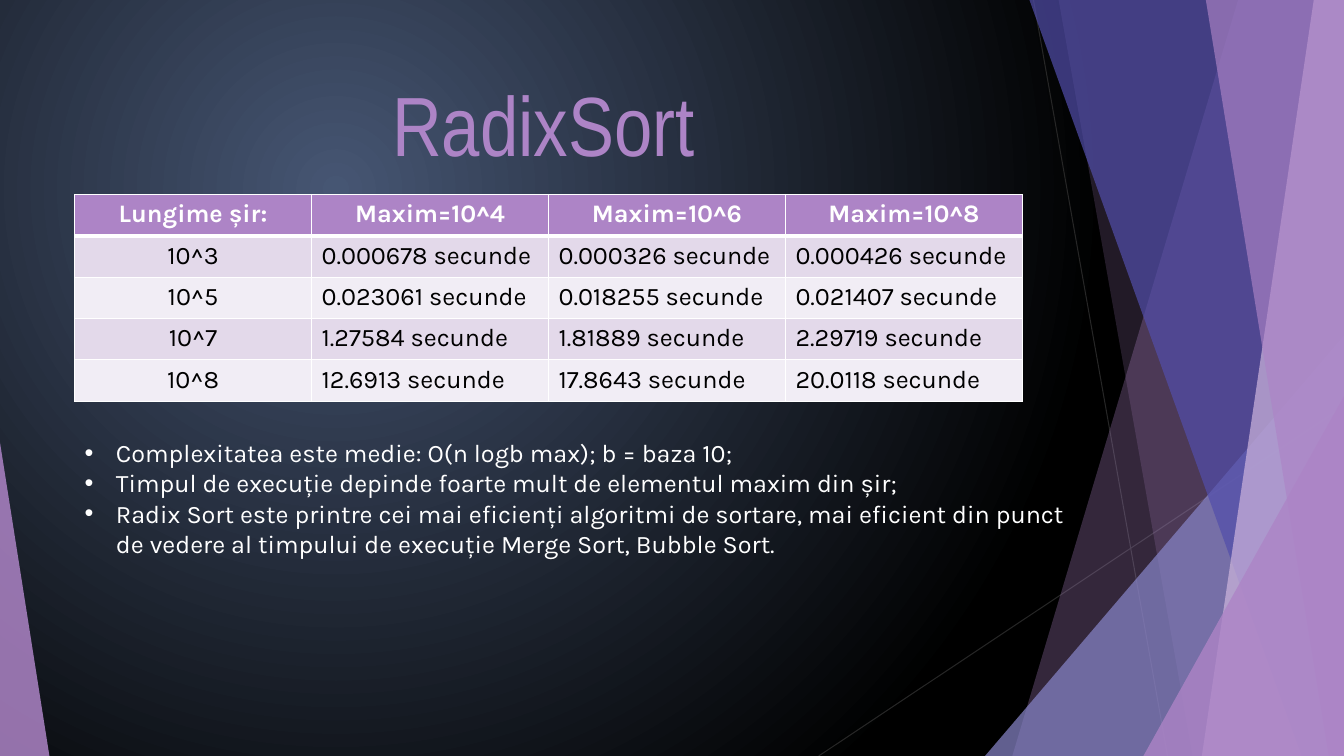
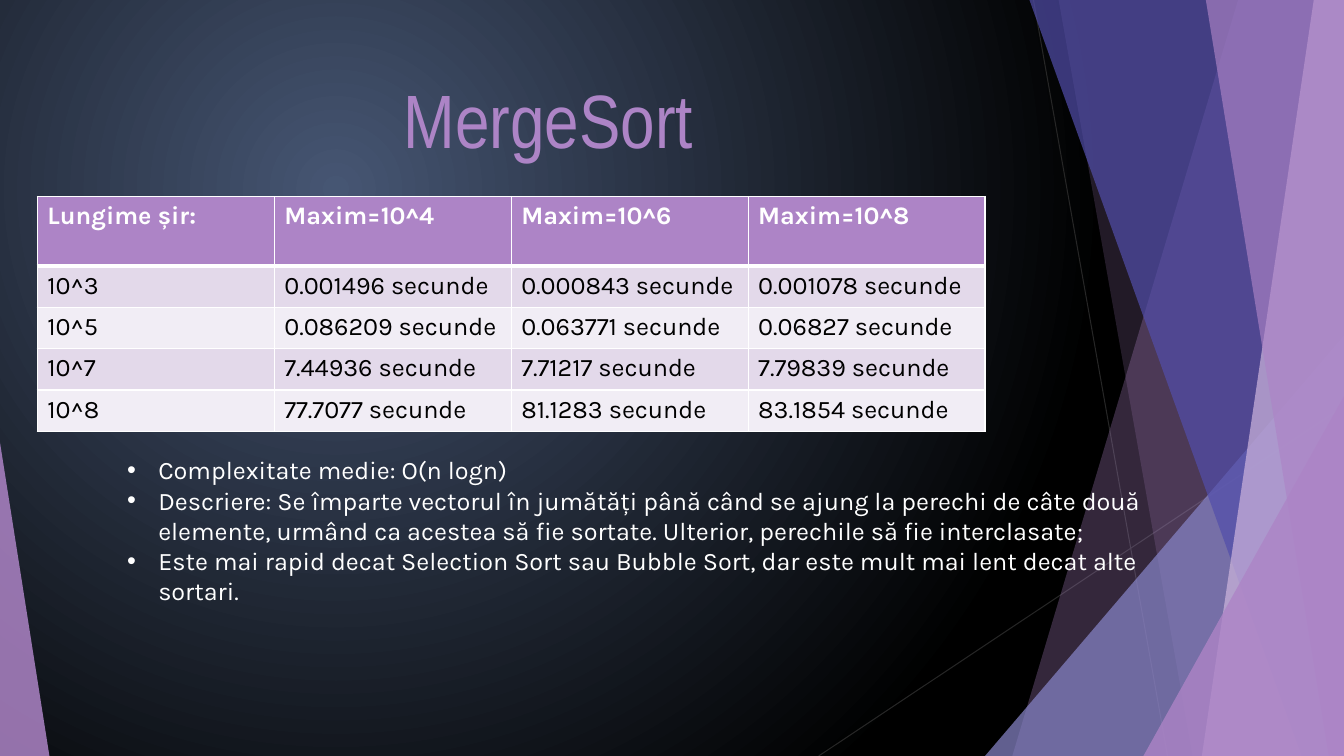
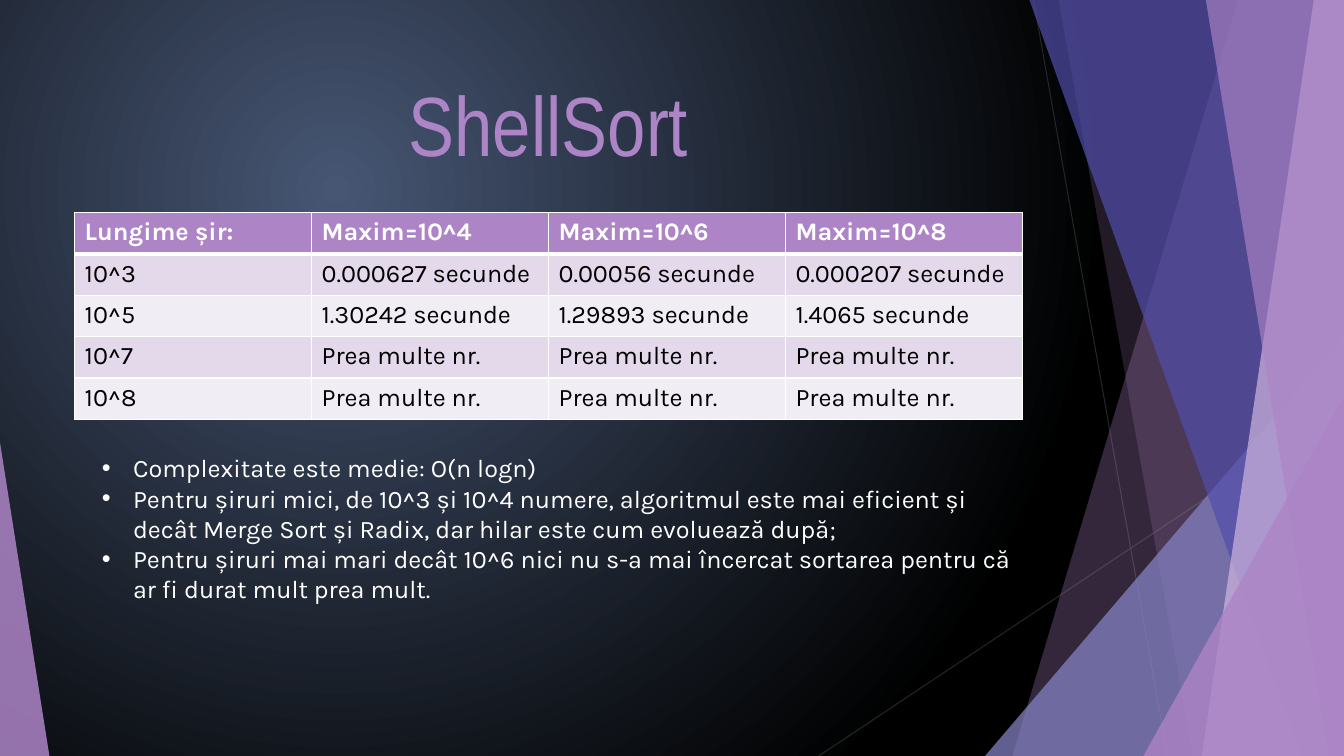
from dataclasses import dataclass

from lxml import etree
from pptx import Presentation
from pptx import util as u
from pptx.dml.color import RGBColor
from pptx.enum import shapes, text
from pptx.oxml.ns import qn

WIDTH, HEIGHT = 13.33, 7.5
PURPLE, LAVENDER, INDIGO, LILAC = "AD84C6", "8784C7", "524EAB", "CEB5DD"
WHITE, BLACK, HAIRLINE = "FFFFFF", "000000", "262626"
BACKGROUND = ("465673", BLACK)
BANDS = ("E3D9EA", "F1EDF5")
TITLE_FONT, BODY_FONT = "Arial Narrow", "Karla"
COL_W, ROW_H = 2.35, 0.41
HEADERS = ("Lungime șir:", "Maxim=10^4", "Maxim=10^6", "Maxim=10^8")
LENGTHS = ("10^3", "10^5", "10^7", "10^8")
TOO_MANY = ("Prea multe nr.",) * 3


@dataclass
class Band:
    """Strip from the top edge to the bottom edge, reaching the right side."""
    top_x: float
    bottom_x: float
    color: str
    alpha: int


@dataclass
class Wedge:
    left: float
    top: float
    width: float
    apex: float
    color: str
    alpha: int


@dataclass
class SortSlide:
    title: str
    times: list[tuple[str, ...]]
    bullets: list[str]
    table_at: tuple[float, float]
    body_box: tuple[float, float, float, float]
    title_left: float = 0.74
    title_size: int = 60
    header_h: float = ROW_H
    centred: bool = False


HAIRLINES = [(10.25, 0, 11.58, HEIGHT), (WIDTH, 4.03, 8.12, HEIGHT)]
DECOR = [
    Band(12.28, 10.04, PURPLE, 30),
    Band(10.5, 11.83, PURPLE, 20),
    Wedge(9.77, 3.33, 3.56, 1, LAVENDER, 72),
    Band(10.21, 12.91, INDIGO, 70),
    Band(13.03, 11.92, LILAC, 70),
    Band(11.96, 13.18, PURPLE, 65),
    Wedge(11.34, 3.93, 1.99, 1, PURPLE, 80),
    Wedge(0, 4.39, 0.49, 0, PURPLE, 85),
]


def seconds(*values: str) -> tuple[str, ...]:
    return tuple(f"{v} secunde" for v in values)


SLIDES = [
    SortSlide(
        "RadixSort",
        [seconds("0.000678", "0.000326", "0.000426"),
         seconds("0.023061", "0.018255", "0.021407"),
         seconds("1.27584", "1.81889", "2.29719"),
         seconds("12.6913", "17.8643", "20.0118")],
        ["Complexitatea este medie: O(n logb max); b = baza 10;",
         "Timpul de execuție depinde foarte mult de elementul maxim din șir;",
         "Radix Sort este printre cei mai eficienți algoritmi de sortare, mai eficient "
         "din punct de vedere al timpului de execuție Merge Sort, Bubble Sort."],
        (0.74, 1.93), (0.74, 4.29, 9.97, 1.62), title_left=0.69, centred=True),
    SortSlide(
        "MergeSort",
        [seconds("0.001496", "0.000843", "0.001078"),
         seconds("0.086209", "0.063771", "0.06827"),
         seconds("7.44936", "7.71217", "7.79839"),
         seconds("77.7077", "81.1283", "83.1854")],
        ["Complexitate medie: O(n logn)",
         "Descriere: Se împarte vectorul în jumătăți până când se ajung la perechi de "
         "câte două elemente, urmând ca acestea să fie sortate. Ulterior, perechile să "
         "fie interclasate;",
         "Este mai rapid decat Selection Sort sau Bubble Sort, dar este mult mai lent "
         "decat alte sortari."],
        (0.37, 1.95), (1.16, 4.46, 11.02, 2.22), title_size=54, header_h=0.69),
    SortSlide(
        "ShellSort",
        [seconds("0.000627", "0.00056", "0.000207"),
         seconds("1.30242", "1.29893", "1.4065"),
         TOO_MANY, TOO_MANY],
        ["Complexitate este medie: O(n logn)",
         "Pentru șiruri mici, de 10^3 și 10^4 numere, algoritmul este mai eficient și "
         "decât Merge Sort și Radix, dar hilar este cum evoluează după;",
         "Pentru șiruri mai mari decât 10^6 nici nu s-a mai încercat sortarea pentru că "
         "ar fi durat mult prea mult."],
        (0.74, 2.11), (0.91, 4.44, 9.4, 1.92)),
]


def rgb(color: str) -> RGBColor:
    return RGBColor.from_string(color)


def style(p, size: float, color: str, font: str = BODY_FONT, bold: bool = False) -> None:
    for r in p.runs:
        r.font.name, r.font.size, r.font.bold = font, u.Pt(size), bold
        r.font.color.rgb = rgb(color)


def place(sp, left: float, top: float, width: float, height: float) -> None:
    sp.left, sp.top = u.Inches(left), u.Inches(top)
    sp.width, sp.height = u.Inches(width), u.Inches(height)


# Shared background and decoration

def set_background(master) -> None:
    fill = master.background.fill
    fill.gradient()
    for stop, color in zip(fill.gradient_stops, BACKGROUND):
        stop.color.rgb = rgb(color)
    for position, stop in enumerate(fill.gradient_stops):
        stop.position = position
    grad = master.element.find(".//" + qn("p:bgPr")).find(qn("a:gradFill"))
    lin = grad.find(qn("a:lin"))
    if lin is not None:
        grad.remove(lin)
    circle = etree.SubElement(grad, qn("a:path"), path="circle")
    etree.SubElement(circle, qn("a:fillToRect"), l="50000", t="50000", r="100000", b="100000")


def draw_decor(part: Band | Wedge, group) -> None:
    if isinstance(part, Band):
        corners = [(WIDTH, 0), (WIDTH, HEIGHT), (part.bottom_x, HEIGHT)]
        outline = group.shapes.build_freeform(u.Inches(part.top_x), 0)
        outline.add_line_segments([(u.Inches(x), u.Inches(y)) for x, y in corners])
        sp = outline.convert_to_shape()
    else:
        sp = group.shapes.add_shape(shapes.MSO_SHAPE.ISOSCELES_TRIANGLE, 0, 0, 1, 1)
        place(sp, part.left, part.top, part.width, HEIGHT - part.top)
        sp.adjustments[0] = part.apex
    sp.shadow.inherit = False
    sp.line.fill.background()
    sp.fill.solid()
    sp.fill.fore_color.rgb = rgb(part.color)
    color = sp.element.spPr.find(qn("a:solidFill"))[0]
    etree.SubElement(color, qn("a:alpha"), val=str(part.alpha * 1000))


def decorate_layout(layout, s) -> None:
    """Layouts cannot add shapes, so build the group on a slide and move it."""
    group = s.shapes.add_group_shape()
    for ends in HAIRLINES:
        line = group.shapes.add_connector(
            shapes.MSO_CONNECTOR.STRAIGHT, *(u.Inches(v) for v in ends))
        line.line.color.rgb, line.line.width = rgb(HAIRLINE), u.Pt(0.75)
        etree.SubElement(line.element.spPr, qn("a:effectLst"))
    for part in DECOR:
        draw_decor(part, group)
    for number, props in enumerate(group.element.iter(qn("p:cNvPr")), 100):
        props.set("id", str(number))
    layout.shapes.element.insert(2, group.element)


# Slide parts

def set_borders(cell, row: int) -> None:
    tc_pr = cell._tc.get_or_add_tcPr()
    heavy = {0: "lnB", 1: "lnT"}.get(row)
    for side in ("lnL", "lnR", "lnT", "lnB"):
        width = u.Pt(3 if side == heavy else 1)
        ln = etree.SubElement(tc_pr, qn(f"a:{side}"), w=str(width))
        fill = etree.SubElement(ln, qn("a:solidFill"))
        etree.SubElement(fill, qn("a:srgbClr"), val=WHITE)


def add_times_table(s, data: SortSlide) -> None:
    rows = [HEADERS] + [(n, *times) for n, times in zip(LENGTHS, data.times)]
    heights = [data.header_h] + [ROW_H] * len(LENGTHS)
    box = (*data.table_at, COL_W * len(HEADERS), sum(heights))
    table = s.shapes.add_table(len(rows), len(HEADERS), *(u.Inches(v) for v in box)).table
    for col in table.columns:
        col.width = u.Inches(COL_W)
    for i, values in enumerate(rows):
        table.rows[i].height = u.Inches(heights[i])
        for j, value in enumerate(values):
            cell = table.cell(i, j)
            set_borders(cell, i)
            cell.fill.solid()
            cell.fill.fore_color.rgb = rgb(BANDS[(i - 1) % 2] if i else PURPLE)
            p = cell.text_frame.paragraphs[0]
            p.text = value
            if data.centred and (i == 0 or j == 0):
                p.alignment = text.PP_ALIGN.CENTER
            style(p, 18, BLACK if i else WHITE, bold=i == 0)


def fill_title(sp, data: SortSlide) -> None:
    place(sp, data.title_left, 0.67, 9.4, 1.44)
    tf = sp.text_frame
    tf.text = data.title
    tf.auto_size = text.MSO_AUTO_SIZE.NONE
    tf.vertical_anchor = text.MSO_ANCHOR.TOP
    p = tf.paragraphs[0]
    p.alignment = text.PP_ALIGN.CENTER
    style(p, data.title_size, PURPLE, TITLE_FONT)


def fill_bullets(sp, data: SortSlide) -> None:
    place(sp, *data.body_box)
    tf = sp.text_frame
    tf.text = "\n".join(data.bullets)
    tf.auto_size = text.MSO_AUTO_SIZE.SHAPE_TO_FIT_TEXT
    indent = u.Inches(0.31)
    for p in tf.paragraphs:
        p.space_before = u.Pt(0)
        p_pr = p._p.get_or_add_pPr()
        p_pr.set("marL", str(indent))
        p_pr.set("indent", str(-indent))
        etree.SubElement(p_pr, qn("a:buFont"), typeface="Arial")
        etree.SubElement(p_pr, qn("a:buChar"), char="•")
        style(p, 18, WHITE)


def main() -> None:
    prs = Presentation()
    prs.slide_width, prs.slide_height = u.Inches(WIDTH), u.Inches(HEIGHT)
    set_background(prs.slide_master)
    layout = prs.slide_layouts[1]
    for number, data in enumerate(SLIDES):
        s = prs.slides.add_slide(layout)
        if number == 0:
            decorate_layout(layout, s)
        fill_title(s.shapes.title, data)
        add_times_table(s, data)
        fill_bullets(s.placeholders[1], data)
    prs.save("out.pptx")


if __name__ == "__main__":
    main()
